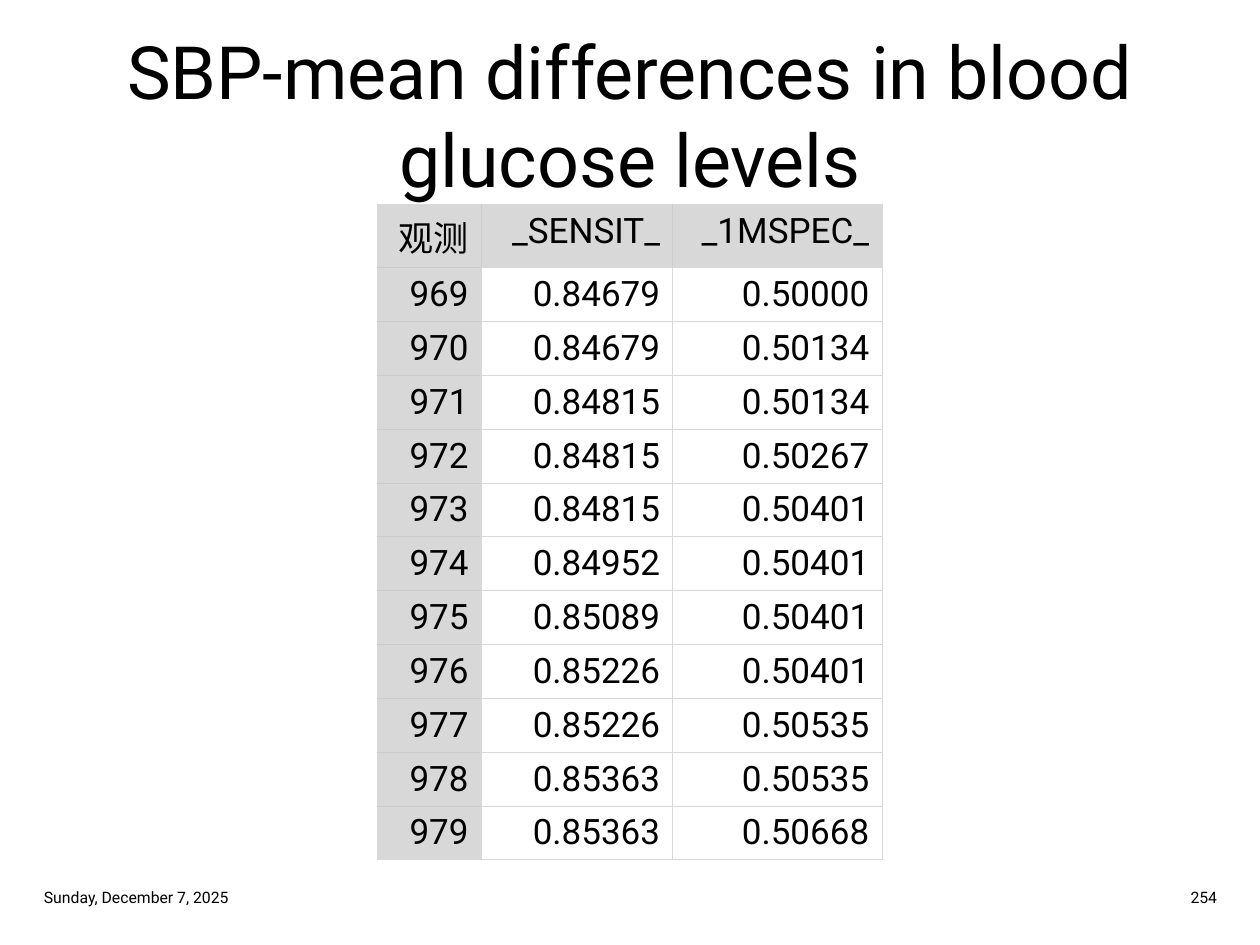
from dataclasses import dataclass

import pptx
import pptx.dml.color
import pptx.enum.text
import pptx.oxml
import pptx.oxml.ns
import pptx.util

Pt = pptx.util.Pt
ALIGN = pptx.enum.text.PP_ALIGN
ANCHOR = pptx.enum.text.MSO_ANCHOR


@dataclass(frozen=True)
class Theme:
    font: str = "Roboto"
    text: str = "000000"
    paper: str = "FFFFFF"
    shade: str = "D8D8D8"
    inner_line: str = "CCCCCC"
    title_size: float = 42
    table_size: float = 20
    footer_size: float = 9
    line_width: float = 0.5


@dataclass(frozen=True)
class Label:
    lines: tuple[str, ...]
    left: float
    top: float
    width: float
    height: float
    size: float
    align: ALIGN


THEME = Theme()

LABELS = (
    Label(("SBP-mean differences in blood", "glucose levels"),
          18, 18, 684, 94.5, THEME.title_size, ALIGN.CENTER),
    Label(("Sunday, December 7, 2025",),
          18, 503.5, 171, 18.5, THEME.footer_size, ALIGN.LEFT),
    Label(("254",), 531.5, 503.5, 171, 18.5, THEME.footer_size, ALIGN.RIGHT),
)

TABLE_LEFT, TABLE_TOP = 215.5, 116.75
COLUMN_WIDTHS = (59.5, 109.5, 119.5)
ROW_HEIGHT = 30
HEADER = ("观测", "_SENSIT_", "_1MSPEC_")
FIRST_OBSERVATION = 969
MEASURES = (
    ("0.84679", "0.50000"),
    ("0.84679", "0.50134"),
    ("0.84815", "0.50134"),
    ("0.84815", "0.50267"),
    ("0.84815", "0.50401"),
    ("0.84952", "0.50401"),
    ("0.85089", "0.50401"),
    ("0.85226", "0.50401"),
    ("0.85226", "0.50535"),
    ("0.85363", "0.50535"),
    ("0.85363", "0.50668"),
)


def rgb(color: str) -> pptx.dml.color.RGBColor:
    return pptx.dml.color.RGBColor.from_string(color)


def add_text(p, text: str, size: float) -> None:
    r = p.add_run()
    r.text = text
    r.font.name = THEME.font
    r.font.size = Pt(size)
    r.font.color.rgb = rgb(THEME.text)


def draw_label(s, label: Label) -> None:
    sp = s.shapes.add_textbox(Pt(label.left), Pt(label.top), Pt(label.width), Pt(label.height))
    tf = sp.text_frame
    tf.word_wrap = True
    tf.vertical_anchor = ANCHOR.MIDDLE
    p = tf.paragraphs[0]
    p.alignment = label.align
    for i, line in enumerate(label.lines):
        if i:
            p.add_line_break()
        add_text(p, line, label.size)


def set_borders(cell, colors: dict[str, str]) -> None:
    """Line the cell's sides; colors runs in the schema order L, R, T, B."""
    tc_pr = cell._tc.get_or_add_tcPr()
    for i, (side, color) in enumerate(colors.items()):
        tc_pr.insert(i, pptx.oxml.parse_xml(
            f'<a:ln{side} {pptx.oxml.ns.nsdecls("a")} w="{Pt(THEME.line_width)}">'
            f'<a:solidFill><a:srgbClr val="{color}"/></a:solidFill></a:ln{side}>'))


def draw_table(s, rows: list[tuple[str, ...]]) -> None:
    """Shade the header row and first column, with darker lines inside them."""
    last_row, last_col = len(rows) - 1, len(COLUMN_WIDTHS) - 1
    table = s.shapes.add_table(
        len(rows), len(COLUMN_WIDTHS), Pt(TABLE_LEFT), Pt(TABLE_TOP),
        Pt(sum(COLUMN_WIDTHS)), Pt(ROW_HEIGHT * len(rows))).table
    for column, width in zip(table.columns, COLUMN_WIDTHS):
        column.width = Pt(width)
    for i, row in enumerate(rows):
        table.rows[i].height = Pt(ROW_HEIGHT)
        for j, text in enumerate(row):
            cell = table.cell(i, j)
            shaded = i == 0 or j == 0
            outer = {"L": j == 0, "R": j == last_col, "T": i == 0, "B": i == last_row}
            set_borders(cell, {
                side: THEME.inner_line if shaded and not is_outer else THEME.shade
                for side, is_outer in outer.items()})
            cell.fill.solid()
            cell.fill.fore_color.rgb = rgb(THEME.shade if shaded else THEME.paper)
            p = cell.text_frame.paragraphs[0]
            p.alignment = ALIGN.RIGHT
            add_text(p, text, THEME.table_size)


def main() -> None:
    prs = pptx.Presentation()
    prs.slide_width, prs.slide_height = Pt(720), Pt(540)
    s = prs.slides.add_slide(prs.slide_layouts[6])
    draw_table(s, [HEADER] + [
        (str(number), *values) for number, values in enumerate(MEASURES, FIRST_OBSERVATION)])
    for label in LABELS:
        draw_label(s, label)
    prs.save("out.pptx")


if __name__ == "__main__":
    main()
